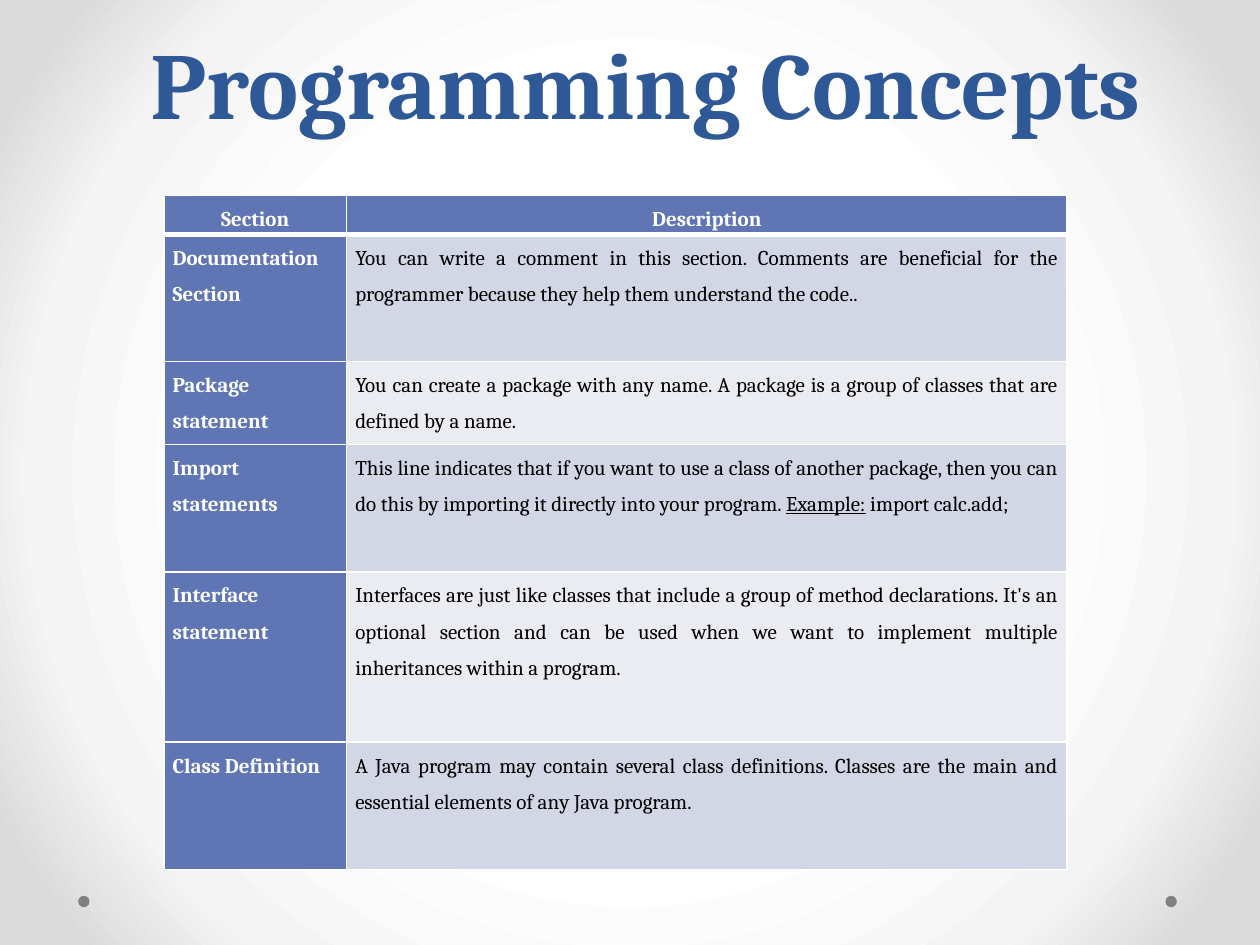
"""Build a slide with a table of the sections of a Java program."""
from pptx import Presentation
from pptx.dml.color import RGBColor
from pptx.enum.shapes import MSO_SHAPE
from pptx.enum.text import MSO_ANCHOR, MSO_AUTO_SIZE, PP_ALIGN
from pptx.oxml import parse_xml
from pptx.oxml.ns import nsdecls
from pptx.util import Inches, Pt

HUES = {
    "title": "2F5897", "head": "6076B4", "odd": "D2D6E5", "even": "EAECF2",
    "white": "FFFFFF", "black": "000000", "dot": "808080",
    "mist": "F4F4F4", "edge": "DADADA",
}
ROWS = [
    (3.1, "Section", "Description"),
    (10.1, "Documentation Section",
     "You can write a comment in this section. Comments are beneficial for the "
     "programmer because they help them understand the code.."),
    (6.6, "Package statement",
     "You can create a package with any name. A package is a group of classes "
     "that are defined by a name. "),
    (10.1, "Import statements",
     "This line indicates that if you want to use a class of another package, "
     "then you can do this by importing it directly into your program. "
     "|Example:| import calc.add; "),
    (13.5, "Interface statement",
     "Interfaces are just like classes that include a group of method "
     "declarations. It's an optional section and can be used when we want to "
     "implement multiple inheritances within a program."),
    (10.1, "Class Definition",
     "A Java program may contain several class definitions. Classes are the main "
     "and essential elements of any Java program."),
]


def write(frame, text, size=12, hue="black", bold=False, align=PP_ALIGN.JUSTIFY, line=1.5):
    """Fill a frame with one paragraph; text between bars is underlined."""
    para = frame.paragraphs[0]
    para.alignment = align
    para.line_spacing = line
    for n, part in enumerate(text.split("|")):
        run = para.add_run()
        run.text = part
        font = run.font
        font.name = "Cambria"
        font.size = Pt(size)
        font.bold = bold
        font.underline = n % 2 == 1
        font.color.rgb = RGBColor.from_string(HUES[hue])


deck = Presentation()
deck.slide_width, deck.slide_height = Inches(10), Inches(7.5)
unit = deck.slide_width // 100
slide = deck.slides.add_slide(deck.slide_layouts[5])

stops = "".join(
    f'<a:gs pos="{pos}000"><a:srgbClr val="{HUES[hue]}"/></a:gs>'
    for pos, hue in [(50, "white"), (76, "mist"), (92, "edge")]
)
slide.element.cSld.insert(0, parse_xml(
    f'<p:bg {nsdecls("p", "a")}><p:bgPr><a:gradFill rotWithShape="1">'
    f'<a:gsLst>{stops}</a:gsLst><a:path path="circle">'
    '<a:fillToRect l="50000" t="50000" r="50000" b="50000"/></a:path>'
    '</a:gradFill><a:effectLst/></p:bgPr></p:bg>'
))

for left in (6.2, 92.5):
    dot = slide.shapes.add_shape(
        MSO_SHAPE.OVAL, int(left * unit), int(71.1 * unit), int(0.9 * unit), int(0.9 * unit))
    dot.shadow.inherit = False
    dot.fill.solid()
    dot.fill.fore_color.rgb = RGBColor.from_string(HUES["dot"])
    dot.line.fill.background()

title = slide.shapes.title
title.left, title.top = int(9.1 * unit), 0
title.width, title.height = int(84.3 * unit), int(11.5 * unit)
title.text_frame.auto_size = MSO_AUTO_SIZE.NONE
title.text_frame.vertical_anchor = MSO_ANCHOR.BOTTOM
write(title.text_frame, "Programming Concepts", size=54, hue="title", bold=True,
      align=PP_ALIGN.CENTER, line=Pt(58))

grid = slide.shapes.add_table(
    len(ROWS), 2, 13 * unit, int(15.5 * unit), int(71.7 * unit), int(53.5 * unit)).table
for col, width in zip(grid.columns, (14.5, 57.2)):
    col.width = int(width * unit)

for r, (height, *texts) in enumerate(ROWS):
    grid.rows[r].height = int(height * unit)
    for c, text in enumerate(texts):
        cell = grid.cell(r, c)
        head = r == 0 or c == 0
        cell.margin_left = cell.margin_right = Inches(0.07)
        cell.margin_top = cell.margin_bottom = 0
        cell.fill.solid()
        fill = "head" if head else "odd" if r % 2 else "even"
        cell.fill.fore_color.rgb = RGBColor.from_string(HUES[fill])
        write(cell.text_frame, text, hue="white" if head else "black", bold=head,
              align=PP_ALIGN.JUSTIFY if r else PP_ALIGN.CENTER)
        thick = {"T": 3 if r == 1 else 1, "B": 1 if r else 3}
        for n, side in enumerate("LRTB"):
            cell._tc.tcPr.insert(n, parse_xml(
                f'<a:ln{side} {nsdecls("a")} w="{Pt(thick.get(side, 1))}"><a:solidFill>'
                f'<a:srgbClr val="{HUES["white"]}"/></a:solidFill></a:ln{side}>'))

deck.save("out.pptx")
